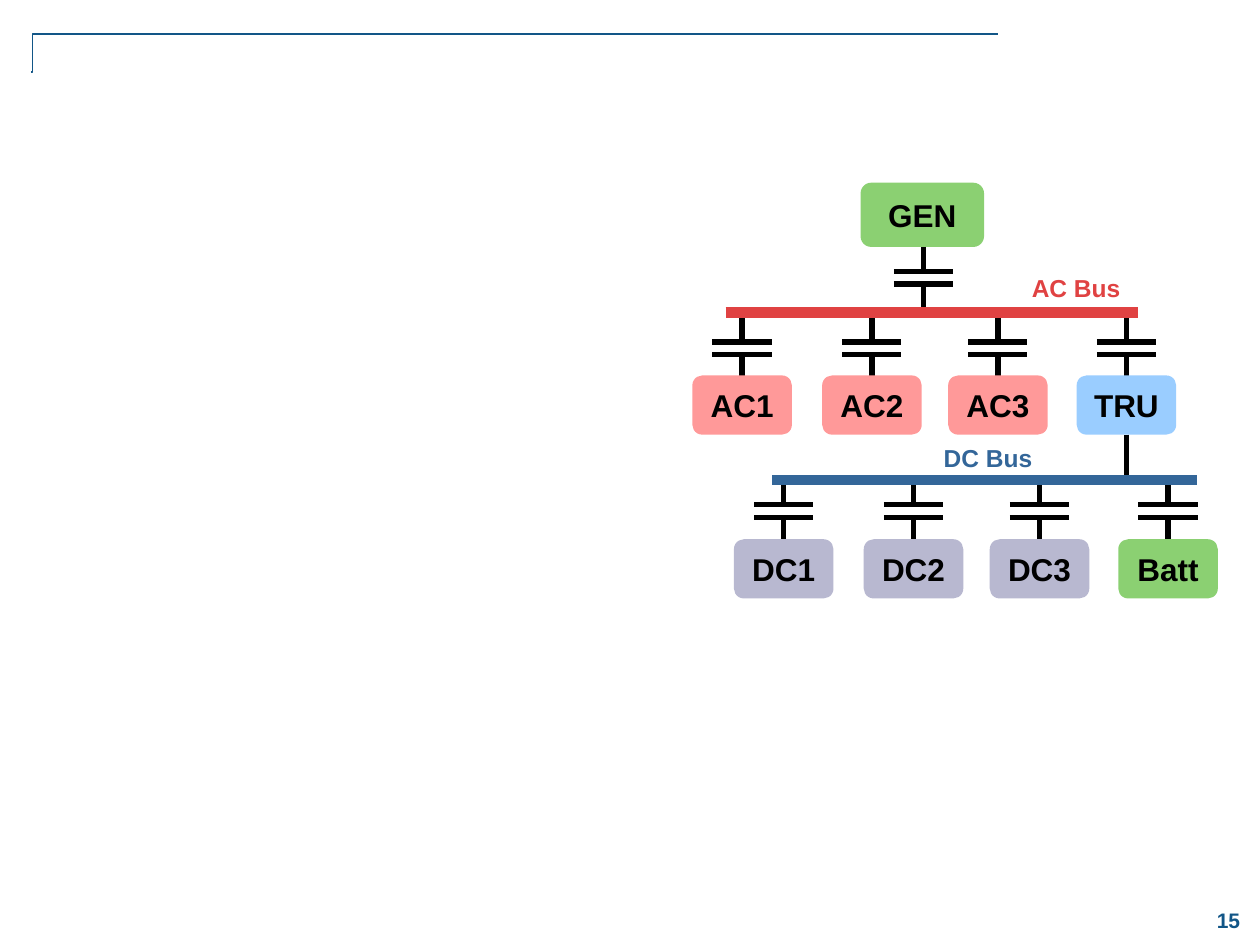
from dataclasses import dataclass

from lxml import etree
from pptx import Presentation
from pptx import util as u
from pptx.dml.color import RGBColor
from pptx.enum import shapes, text
from pptx.oxml.ns import qn


@dataclass(frozen=True)
class Theme:
    font: str = "Arial"
    accent: str = "125687"
    black: str = "000000"
    source: str = "8BD072"
    ac_load: str = "FF9999"
    converter: str = "9ACDFF"
    dc_load: str = "B8B8D0"
    ac_bus: str = "E04242"
    dc_bus: str = "336699"
    box_size: int = 18
    label_size: int = 14
    number_size: int = 12
    rule: int = 1
    wire: int = 3
    bus: int = 6


THEME = Theme()
COLUMNS = (0, 1.03, 2.03, 3.05)  # feeder centres, from the first feeder
PLATE_WIDTH = 0.47
PLATE_GAP = 0.1
LEAD = 0.195
BOX_WIDTH, BOX_HEIGHT = 0.79, 0.47


def add_run(tf, words, size, color, align):
    p = tf.paragraphs[0]
    p.alignment = align
    r = p.add_run()
    r.text = words
    r.font.name = THEME.font
    r.font.size = u.Pt(size)
    r.font.bold = True
    r.font.color.rgb = RGBColor.from_string(color)


def add_line(parent, start, end, color, width, kind=shapes.MSO_CONNECTOR.STRAIGHT):
    points = [u.Inches(v) for v in (*start, *end)]
    line = parent.add_connector(kind, *points)
    line.line.color.rgb = RGBColor.from_string(color)
    line.line.width = u.Pt(width)
    etree.SubElement(line._element.spPr, qn("a:effectLst"))
    return line


def add_corner_rule(parent):
    """Draw the header rule, with its bend almost at the left end."""
    rule = add_line(parent, (7.92, 0.27), (0.25, 0.57), THEME.accent, THEME.rule,
                    shapes.MSO_CONNECTOR.ELBOW)
    guides = rule._element.spPr.find(qn("a:prstGeom")).get_or_add_avLst()
    etree.SubElement(guides, qn("a:gd"), name="adj1", fmla="val 99900")


def add_box(parent, x, y, w, h, words, fill, side_inset=0.04):
    sp = parent.add_shape(shapes.MSO_SHAPE.ROUNDED_RECTANGLE,
                          u.Inches(x), u.Inches(y), u.Inches(w), u.Inches(h))
    sp.shadow.inherit = False
    sp.fill.solid()
    sp.fill.fore_color.rgb = RGBColor.from_string(fill)
    sp.line.fill.background()
    tf = sp.text_frame
    tf.vertical_anchor = text.MSO_ANCHOR.MIDDLE
    tf.margin_left = tf.margin_right = u.Inches(side_inset)
    add_run(tf, words, THEME.box_size, THEME.black, text.PP_ALIGN.CENTER)


def add_label(parent, x, y, words, color):
    sp = parent.add_textbox(u.Inches(x), u.Inches(y), u.Inches(0.91), u.Inches(0.34))
    tf = sp.text_frame
    tf.word_wrap = False
    tf.auto_size = text.MSO_AUTO_SIZE.SHAPE_TO_FIT_TEXT
    add_run(tf, words, THEME.label_size, color, text.PP_ALIGN.LEFT)


def add_slide_number(parent, number):
    sp = parent.add_textbox(u.Inches(9.5), u.Inches(7.09), u.Inches(0.5), u.Inches(0.42))
    tf = sp.text_frame
    tf.word_wrap = True
    tf.vertical_anchor = text.MSO_ANCHOR.MIDDLE
    add_run(tf, number, THEME.number_size, THEME.accent, text.PP_ALIGN.CENTER)


def add_contactor(parent, x, y):
    """Draw two parallel plates with a lead above and a lead below."""
    upper = y + LEAD
    lower = upper + PLATE_GAP
    left, right = x - PLATE_WIDTH / 2, x + PLATE_WIDTH / 2
    for start, end in (((x, y), (x, upper)),
                       ((left, upper), (right, upper)),
                       ((left, lower), (right, lower)),
                       ((x, lower), (x, lower + LEAD))):
        add_line(parent, start, end, THEME.black, THEME.wire)


def add_feeders(parent, first_x, contactor_y, box_y, loads):
    centres = [first_x + offset for offset in COLUMNS]
    for x in centres:
        add_contactor(parent, x, contactor_y)
    for x, (words, fill) in zip(centres, loads):
        add_box(parent, x - BOX_WIDTH / 2, box_y, BOX_WIDTH, BOX_HEIGHT, words, fill)


def add_power_system(parent):
    add_box(parent, 6.83, 1.45, 0.98, 0.51, "GEN", THEME.source, 0.1)
    add_contactor(parent, 7.33, 1.96)
    add_feeders(parent, 5.89, 2.52, 2.98,
                [(f"AC{i}", THEME.ac_load) for i in (1, 2, 3)]
                + [("TRU", THEME.converter)])
    add_line(parent, (8.94, 3.45), (8.94, 3.81), THEME.black, THEME.wire)
    add_feeders(parent, 6.22, 3.81, 4.28,
                [(f"DC{i}", THEME.dc_load) for i in (1, 2, 3)]
                + [("Batt", THEME.source)])
    add_label(parent, 8.09, 2.12, "AC Bus", THEME.ac_bus)
    add_line(parent, (5.76, 2.48), (9.03, 2.48), THEME.ac_bus, THEME.bus)
    add_line(parent, (6.13, 3.81), (9.5, 3.81), THEME.dc_bus, THEME.bus)
    add_label(parent, 7.39, 3.47, "DC Bus", THEME.dc_bus)


def main():
    prs = Presentation()
    prs.slide_width, prs.slide_height = u.Inches(10), u.Inches(7.5)
    s = prs.slides.add_slide(prs.slide_layouts[6])
    add_corner_rule(s.shapes)
    add_slide_number(s.shapes, "15")
    add_power_system(s.shapes.add_group_shape().shapes)
    prs.save("out.pptx")


if __name__ == "__main__":
    main()
